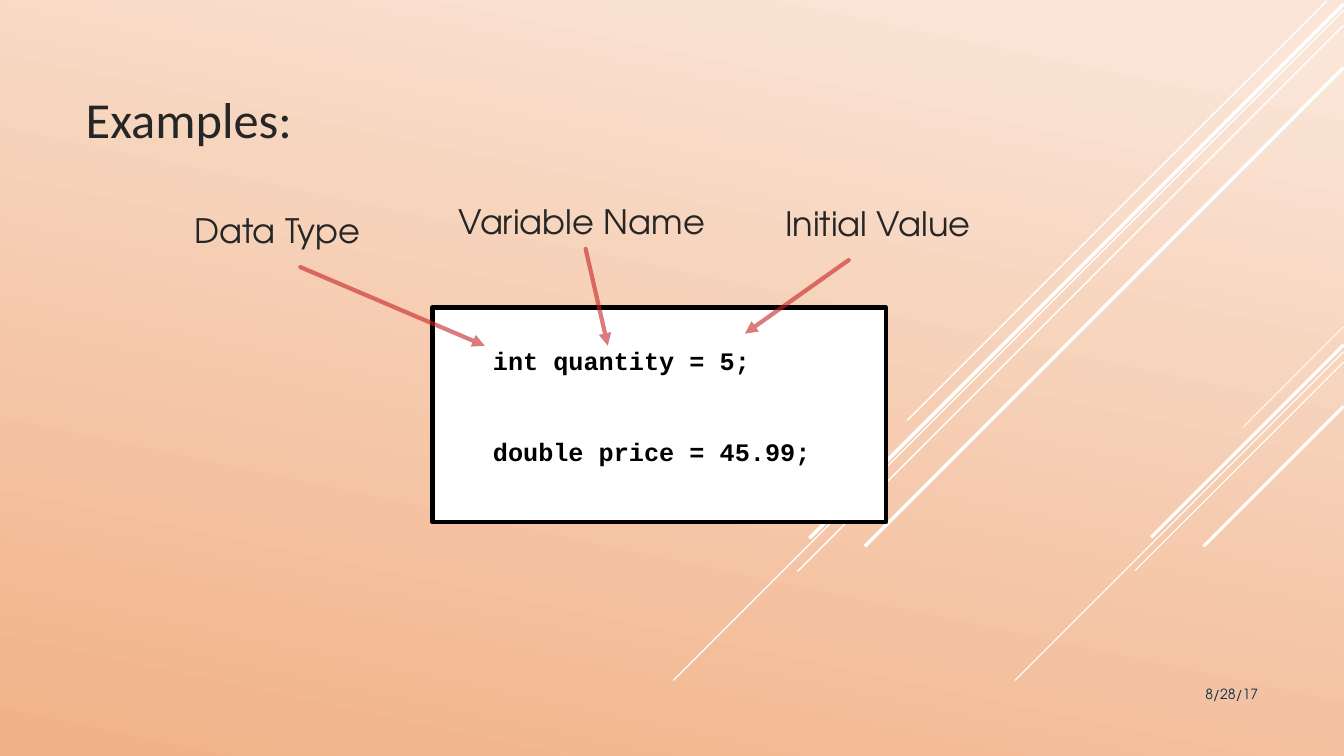
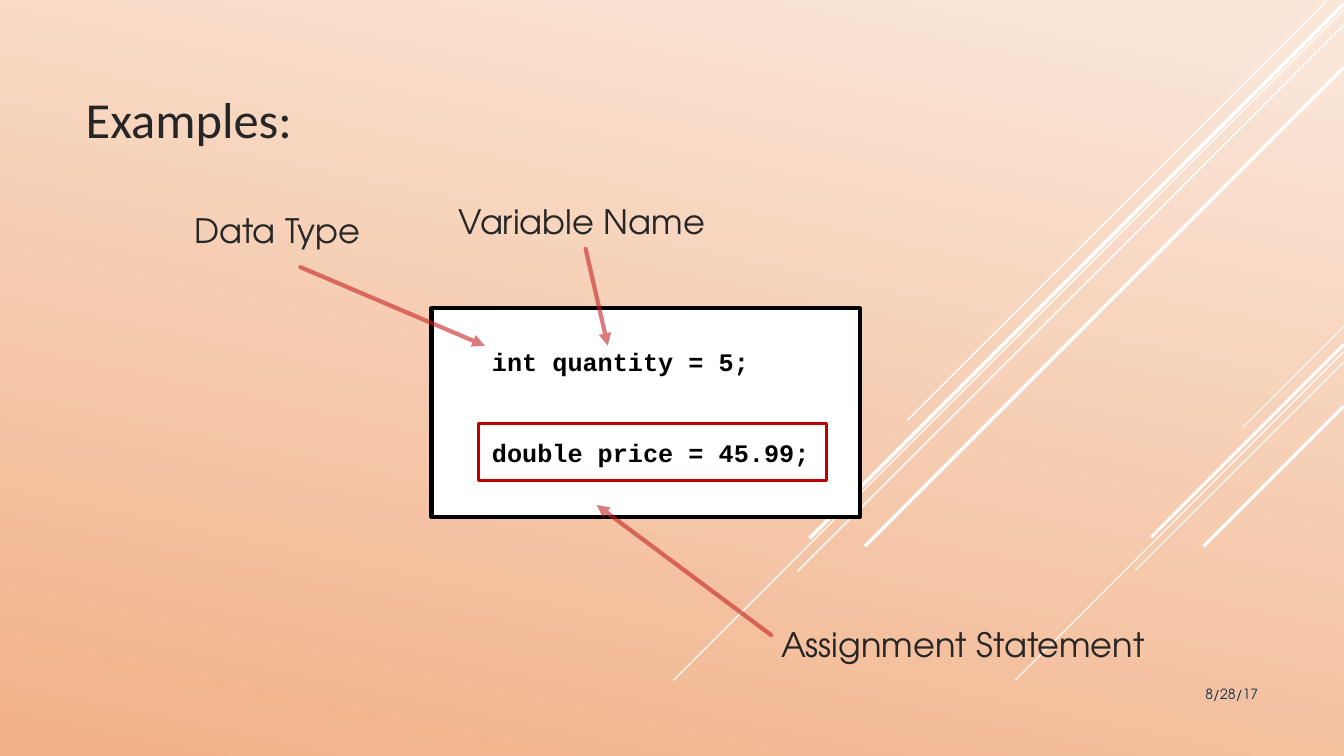
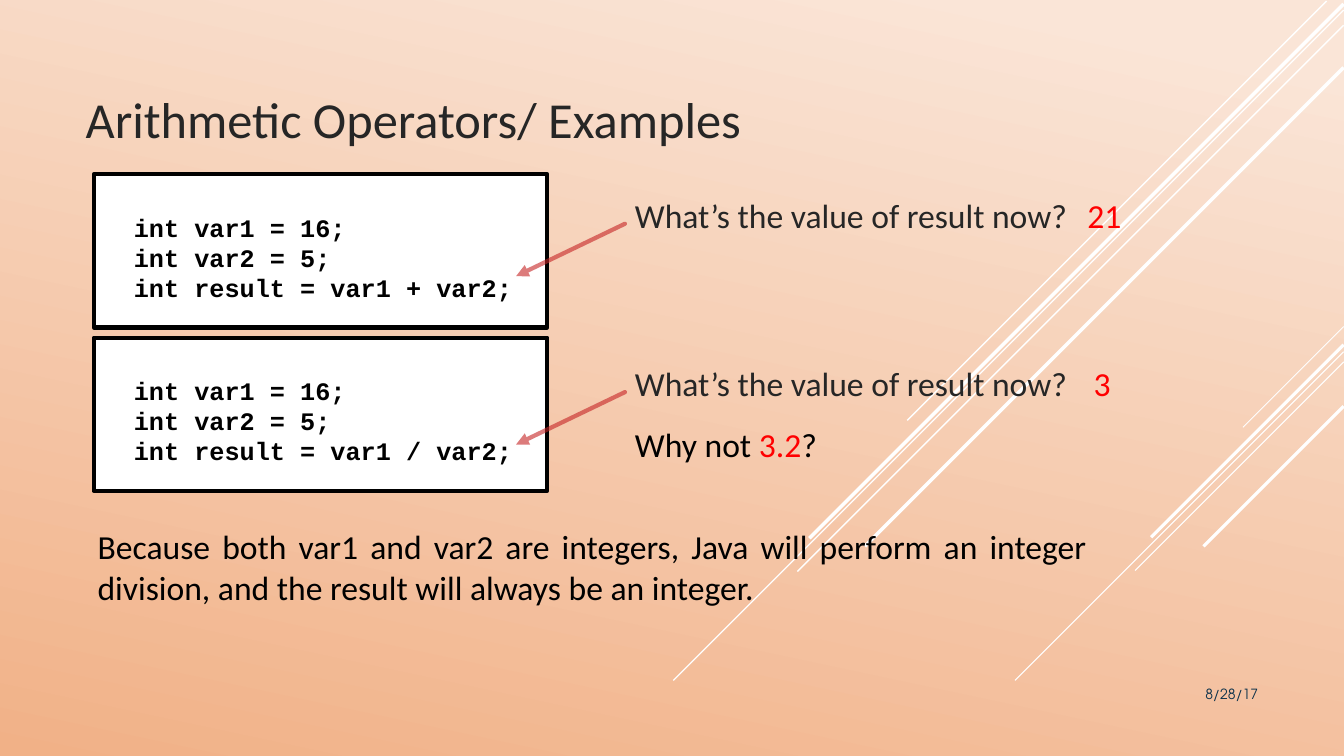
"""Three lesson slides on Java variables and arithmetic operators."""
import dataclasses

import lxml.etree
import pptx
import pptx.dml.color
import pptx.enum.shapes
import pptx.enum.text
import pptx.oxml.ns
import pptx.util

Align = pptx.enum.text.PP_ALIGN
Anchor = pptx.enum.text.MSO_ANCHOR
Pt = pptx.util.Pt
qn = pptx.oxml.ns.qn

STREAKS = [
    (133.3, 32.4, 10, 0.75), (133.3, 34.9, 32.6, 0.75),
    (133.3, 35.9, 20.7, 0.75), (133.3, 34.2, 19.1, 2.25),
    (133.3, 40.3, 13.9, 2.25), (131.6, 0.1, 41.6, 1),
    (133.3, 1, 66.5, 1), (133.3, 2.5, 54.2, 1),
    (133.3, 0.4, 53, 2.5), (133.3, 6.7, 47.5, 2.5),
]


@dataclasses.dataclass(frozen=True)
class Theme:
    light: str = "FAE5D7"
    deep: str = "F1B187"
    white: str = "FFFFFF"
    black: str = "000000"
    ink: str = "262626"
    navy: str = "0A304A"
    arrow: str = "C62324"
    mark: str = "C00000"
    red: str = "FF0000"
    plain: str = "Calibri"
    round: str = "TeX Gyre Adventor"
    mono: str = "Courier New"
    head: float = 36
    body: float = 24
    code: float = 18
    small: float = 10
    lead: float = 21.4


def rgb(hex):
    return pptx.dml.color.RGBColor.from_string(hex)


def cell(count):
    return pptx.util.Inches(count / 10)


class Deck:
    """Draws on the current slide, on a grid of tenth-inch cells."""

    def __init__(self, look):
        self.look = look
        self.prs = pptx.Presentation()
        self.prs.slide_width = cell(133.33)
        self.prs.slide_height = cell(75)
        fill = self.prs.slide_master.background.fill
        fill.gradient()
        fill.gradient_angle = 258
        stops = zip(fill.gradient_stops, (0.07, 1), (look.light, look.deep))
        for stop, place, color in stops:
            stop.position = place
            stop.color.rgb = rgb(color)

    def font(self, para, name, size, color=None, bold=False):
        para.font.name = name
        para.font.size = Pt(size)
        para.font.bold = bold
        if color:
            para.font.color.rgb = rgb(color)

    def page(self, title):
        look = self.look
        self.slide = self.prs.slides.add_slide(self.prs.slide_layouts[5])
        head = self.slide.shapes.title
        head.left, head.top, head.width, head.height = map(
            cell, (7.5, 4.9, 87.5, 10.3))
        frame = head.text_frame
        frame.text = title
        frame.auto_size = pptx.enum.text.MSO_AUTO_SIZE.NONE
        frame.vertical_anchor = Anchor.BOTTOM
        para = frame.paragraphs[0]
        para.alignment = Align.LEFT
        self.font(para, look.plain, look.head, look.ink)
        self.text((108.3, 67.5, 17.5, 4), [("8/28/17", look.navy)],
                  look.round, look.small, Align.RIGHT)

    def line(self, start, end, color, width):
        link = self.slide.shapes.add_connector(
            pptx.enum.shapes.MSO_CONNECTOR.STRAIGHT,
            *map(cell, (*start, *end)))
        link.line.color.rgb = rgb(color)
        link.line.width = Pt(width)
        lxml.etree.SubElement(link.element.spPr, qn("a:effectLst"))
        return link

    def streaks(self):
        tree = self.prs.slide_master.shapes.element
        for num, (x, y, run, width) in enumerate(STREAKS, 100):
            link = self.line((x, y), (x - run, y + run),
                             self.look.white, width)
            link.element.xpath(".//p:cNvPr")[0].set("id", str(num))
            tree.append(link.element)

    def arrow(self, start, end):
        link = self.line(start, end, self.look.arrow, 3)
        edge = link.element.spPr.find(qn("a:ln"))
        edge.set("cap", "rnd")
        color = edge.find(".//" + qn("a:srgbClr"))
        lxml.etree.SubElement(color, qn("a:alpha"), val="60000")
        lxml.etree.SubElement(edge, qn("a:tailEnd"), type="triangle")

    def text(self, area, parts, name, size, align=Align.JUSTIFY):
        box = self.slide.shapes.add_textbox(*map(cell, area))
        box.text_frame.word_wrap = True
        para = box.text_frame.paragraphs[0]
        para.alignment = align
        self.font(para, name, size)
        for words, color in parts:
            run = para.add_run()
            run.text = words
            run.font.color.rgb = rgb(color)

    def label(self, words, area, start, end):
        look = self.look
        self.text(area, [(words, look.ink)], look.round, look.body)
        self.arrow(start, end)

    def note(self, area, *parts):
        self.text(area, parts, self.look.plain, self.look.body)

    def rect(self, area, color, width):
        box = self.slide.shapes.add_shape(
            pptx.enum.shapes.MSO_SHAPE.RECTANGLE, *map(cell, area))
        box.shadow.inherit = False
        box.fill.background()
        box.line.color.rgb = rgb(color)
        box.line.width = Pt(width)
        return box

    def code(self, area, lines, inset=1, gap=0):
        look = self.look
        box = self.rect(area, look.black, 3)
        box.fill.solid()
        box.fill.fore_color.rgb = rgb(look.white)
        frame = box.text_frame
        frame.word_wrap = True
        frame.vertical_anchor = Anchor.TOP
        frame.margin_left = cell(inset)
        frame.margin_top = cell(3.8)
        frame.text = "\n".join(lines)
        for num, para in enumerate(frame.paragraphs):
            para.alignment = Align.LEFT
            para.line_spacing = Pt(look.lead)
            para.space_before = Pt(gap if num else 0)
            self.font(para, look.mono, look.code, look.black, True)

    def declare(self, area):
        self.page("Examples:")
        self.code(area, ["int quantity = 5;", "double price = 45.99;"],
                  inset=6, gap=43.5)
        self.label("Data Type", (18.3, 20.3, 22.7, 5.2),
                   (29.8, 26.5), (48.1, 34.3))
        self.label("Variable Name", (44.5, 19.4, 27.2, 5.2),
                   (58.1, 24.7), (60.3, 34.3))

    def quiz(self, top, sign, row, answer, col):
        look = self.look
        self.code((9.3, top, 45, 15.2),
                  ["  int var1 = 16;", "  int var2 = 5;",
                   f"  int result = var1 {sign} var2;"])
        self.arrow((62, row + 3.4), (51.2, row + 8.6))
        self.note((62, row, 46.8, 6.9),
                  ("What’s the value of result now?", look.ink))
        self.note((col, row, 6.6, 6.9), (answer, look.red))


def main():
    look = Theme()
    deck = Deck(look)

    deck.declare((42.9, 30.5, 45, 21.3))
    deck.streaks()
    deck.label("Initial Value", (76.9, 19.6, 21.6, 5.2),
               (84.2, 25.8), (73.9, 33.1))

    deck.declare((42.8, 30.6, 42.5, 20.7))
    deck.rect((47.5, 42, 34.5, 5.7), look.mark, 2.25)
    deck.label("Assignment Statement", (76.5, 61.4, 41.7, 5.2),
               (76.5, 63), (59.2, 50.1))

    deck.page("Arithmetic Operators/ Examples")
    deck.quiz(17.3, "+", 18.8, "21", 106.9)
    deck.quiz(33.5, "/", 35.5, "3", 107.5)
    deck.note((62, 41.6, 21.2, 6.9), ("Why not ", look.black),
              ("3.2", look.red), ("?", look.black))
    deck.note((8.7, 51.7, 100.1, 10.5),
              ("Because both var1 and var2 are integers, Java will perform "
               "an integer division, and the result will always be an "
               "integer.", look.black))

    deck.prs.save("out.pptx")


if __name__ == "__main__":
    main()
